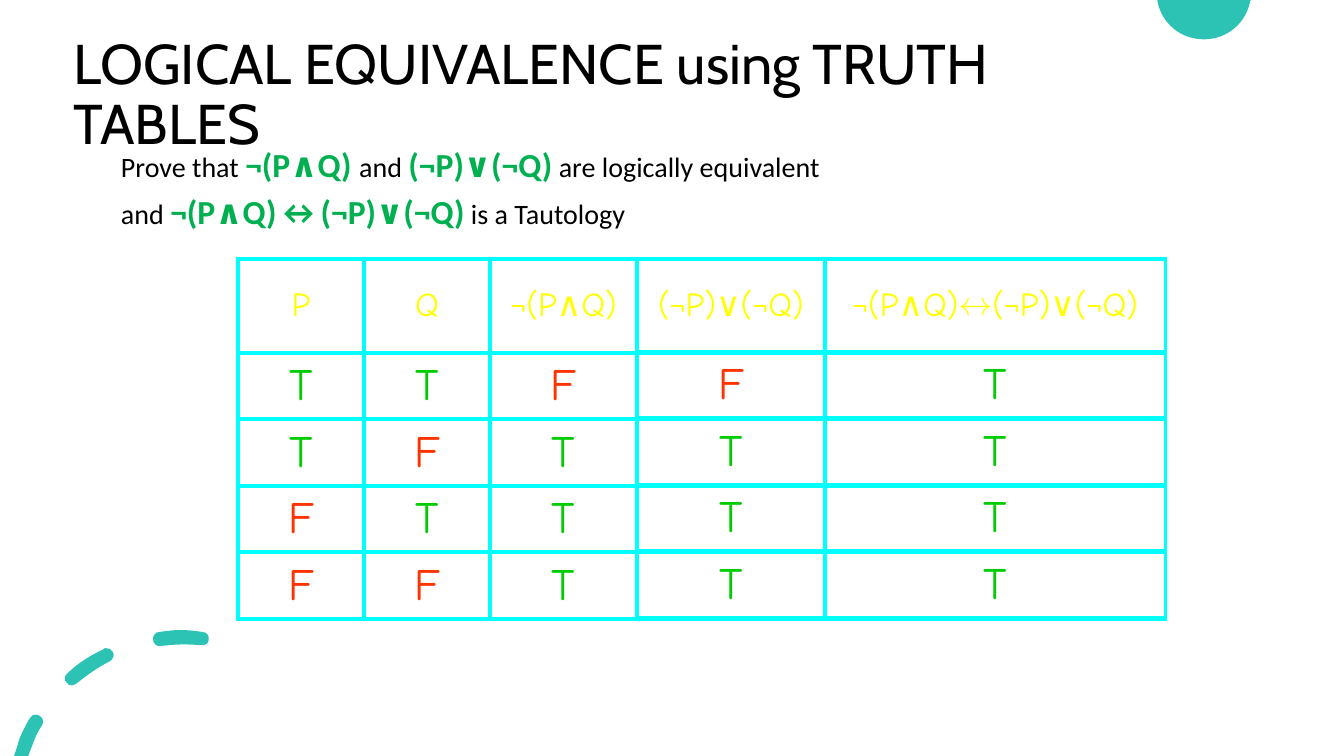
import pptx
import pptx.dml.color
import pptx.enum.lang
import pptx.enum.text
import pptx.oxml
import pptx.oxml.ns
import pptx.util

EMU_PER_PX = 9144
TEAL, CYAN, YELLOW, BLACK = "2CC3B4", "00FFFF", "FFFF00", "000000"
FORMULA_GREEN = "00B050"
TRUTH_COLORS = {"T": "00CC00", "F": "FF3300"}
ALIGN = pptx.enum.text.PP_ALIGN
ANCHOR = pptx.enum.text.MSO_ANCHOR
AUTO_SIZE = pptx.enum.text.MSO_AUTO_SIZE


def px(length):
    return pptx.util.Emu(round(length * EMU_PER_PX))


def color(value):
    return pptx.dml.color.RGBColor.from_string(value)


def element(tag, attributes="", content=""):
    namespace = pptx.oxml.ns.nsdecls("a")
    return pptx.oxml.parse_xml(f"<a:{tag} {namespace} {attributes}>{content}</a:{tag}>")


def write(para, text, size=20, font="Calibri", fill=BLACK, bold=False):
    span = para.add_run()
    span.text = text
    span.font.size = pptx.util.Pt(size)
    span.font.name = font
    span.font.bold = bold
    span.font.color.rgb = color(fill)
    span.font.language_id = pptx.enum.lang.MSO_LANGUAGE_ID.ENGLISH_US


class SlideMaker:
    def __init__(self, deck):
        self.page = deck.slides.add_slide(deck.slide_layouts[1])

    def placeholder(self, index, left, top, width, height, anchor, auto_size):
        box = self.page.placeholders[index]
        box.left, box.top, box.width, box.height = map(px, (left, top, width, height))
        frame = box.text_frame
        frame.word_wrap = True
        frame.vertical_anchor = anchor
        frame.auto_size = auto_size
        return frame

    def title(self, text, *area):
        para = self.placeholder(0, *area, ANCHOR.MIDDLE, AUTO_SIZE.NONE).paragraphs[0]
        para.alignment = ALIGN.LEFT
        para.line_spacing = 0.9
        write(para, text, size=40, font="Cabin")

    def body(self, lines, *area):
        frame = self.placeholder(1, *area, ANCHOR.TOP, AUTO_SIZE.SHAPE_TO_FIT_TEXT)
        for number, parts in enumerate(lines):
            para = frame.add_paragraph() if number else frame.paragraphs[0]
            properties = para._p.get_or_add_pPr()
            properties.set("marL", "0")
            properties.set("indent", "0")
            properties.append(element("buNone"))
            para.alignment = ALIGN.LEFT
            para.space_before = pptx.util.Pt(4.5 if number else 0)
            for text, is_formula in parts:
                if is_formula:
                    write(para, text, size=24, fill=FORMULA_GREEN, bold=True)
                else:
                    write(para, text)

    def outline(self, *contours):
        start = contours[0][0]
        builder = self.page.shapes.build_freeform(px(start[0]), px(start[1]), scale=1.0)
        for number, (start, *segments) in enumerate(contours):
            if number:
                builder.move_to(px(start[0]), px(start[1]))
            points = [(px(x), px(y)) for segment in segments for x, y in segment]
            builder.add_line_segments(points, close=True)
        shape = builder.convert_to_shape()
        lines = iter(shape._element.findall(".//" + pptx.oxml.ns.qn("a:lnTo")))
        for start, *segments in contours:
            for segment in segments:
                steps = [next(lines) for point in segment]
                if len(steps) == 3:
                    bend = element("cubicBezTo")
                    steps[0].addprevious(bend)
                    for step in steps:
                        bend.append(step[0])
                        step.getparent().remove(step)
        shape.shadow.inherit = False
        shape.fill.solid()
        shape.fill.fore_color.rgb = color(TEAL)
        shape.line.fill.background()

    def border(self, cell):
        properties = cell._tc.get_or_add_tcPr()
        paint = f'<a:solidFill><a:srgbClr val="{CYAN}"/></a:solidFill>'
        for side in "LRTB":
            properties.append(element(f"ln{side}", 'w="38100"', paint))

    def table(self, left, top, widths, heights, rows):
        area = map(px, (left, top, sum(widths), sum(heights)))
        grid = self.page.shapes.add_table(len(heights), len(widths), *area).table
        grid.first_row = grid.horz_banding = False
        for column, width in zip(grid.columns, widths):
            column.width = px(width)
        for row, height in zip(grid.rows, heights):
            row.height = px(height)
        for cell in grid.iter_cells():
            self.border(cell)
            cell.fill.background()
            cell.vertical_anchor = ANCHOR.MIDDLE
        for row_number, row in enumerate(rows):
            for column_number, text in enumerate(row):
                para = grid.cell(row_number, column_number).text_frame.paragraphs[0]
                para.alignment = ALIGN.CENTER
                if text in TRUTH_COLORS:
                    write(para, text, size=32, font="Comic Neue", fill=TRUTH_COLORS[text])
                    continue
                for part in filter(None, text.partition("↔")):
                    write(para, part, size=24, font="Comic Neue", fill=YELLOW, bold=part == "↔")


def main():
    deck = pptx.Presentation()
    deck.slide_width, deck.slide_height = px(1333), px(750)
    maker = SlideMaker(deck)

    maker.outline(
        [(1148, 0), [(1241, 0)], [(1240, 1)],
         [(1236, 23), (1217, 39), (1194, 39)], [(1171, 39), (1152, 23), (1148, 1)]])
    maker.outline(
        [(36, 709), [(34, 708), (31, 710), (30, 712)], [(26, 718), (23, 725), (20, 731)],
         [(14, 750)], [(28, 750)], [(33, 737)], [(35, 731), (38, 725), (42, 719)],
         [(44, 716), (42, 711), (39, 710)], [(38, 709), (37, 709), (36, 709)]],
        [(105, 643), [(104, 643), (103, 643), (103, 644)], [(90, 650), (77, 658), (67, 668)],
         [(64, 670), (63, 675), (66, 677)], [(67, 679), (69, 680), (71, 680)],
         [(73, 680), (74, 679), (76, 678)], [(86, 670), (97, 662), (109, 656)],
         [(112, 654), (114, 650), (112, 647)], [(111, 644), (108, 643), (105, 643)]],
        [(179, 625), [(172, 625), (165, 626), (158, 627)], [(154, 627), (151, 631), (152, 635)],
         [(152, 638), (155, 641), (158, 641)], [(159, 641), (159, 641), (159, 641)],
         [(173, 639), (186, 639), (199, 640)], [(203, 641), (207, 638), (207, 635)],
         [(208, 631), (205, 627), (201, 627)], [(194, 626), (186, 625), (179, 625)]])

    maker.title("LOGICAL EQUIVALENCE using TRUTH TABLES", 63, 58, 1079, 75)
    maker.body([
        [("Prove that ", False), ("¬(P∧Q) ", True), ("and ", False),
         ("(¬P)∨(¬Q)", True), (" are logically equivalent", False)],
        [("and ", False), ("¬(P∧Q)↔(¬P)∨(¬Q)", True), (" is a Tautology", False)],
    ], 110, 138, 1021, 99)

    heights = [66] * 4
    headings = ["P", "Q", "¬(P∧Q)", "(¬P)∨(¬Q)", "¬(P∧Q)↔(¬P)∨(¬Q)"]
    maker.table(236, 257, [125, 125, 146, 186, 338], [93] + heights,
                [headings, "TT", "TF", "FT", "FF"])
    for left, top, width, results in (
            (486, 350, 146, "FTTT"), (632, 349, 186, "FTTT"), (818, 349, 338, "TTTT")):
        maker.table(left, top, [width], heights, results)

    deck.save("out.pptx")


if __name__ == "__main__":
    main()
